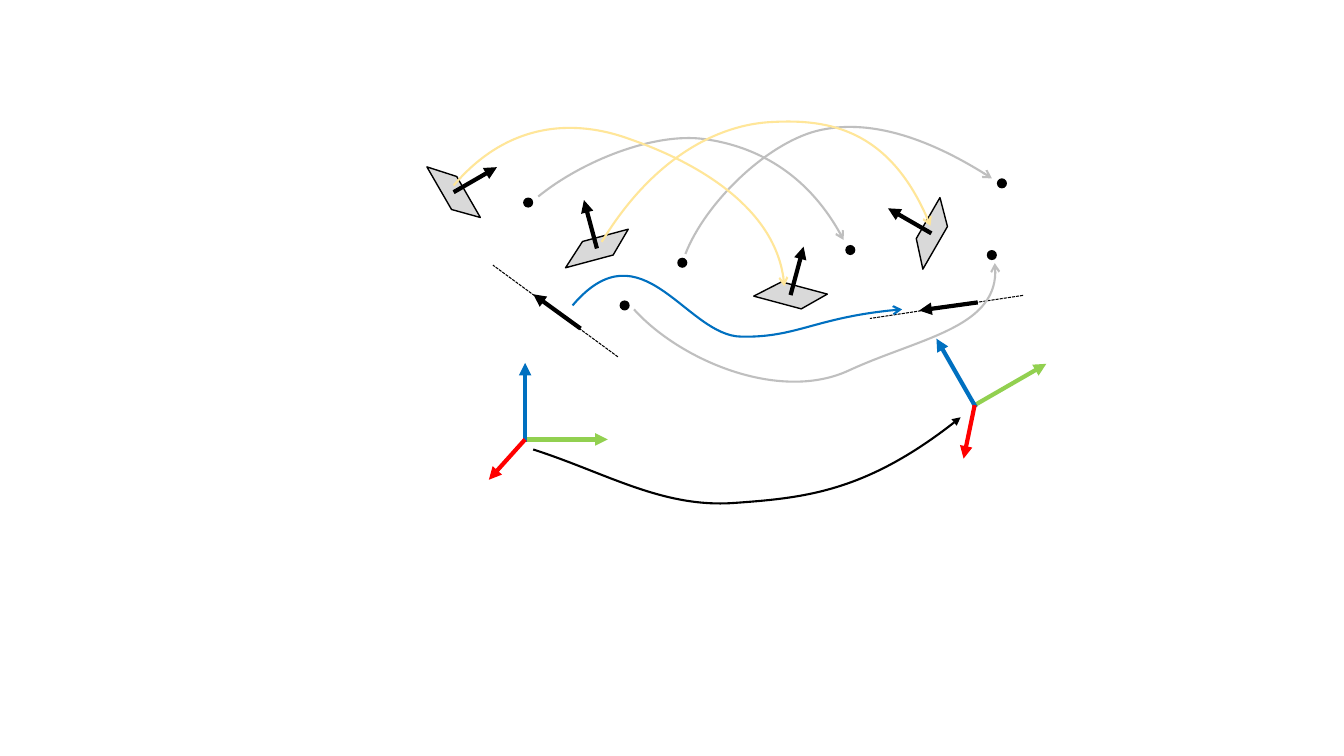
"""Draw points, lines and planes being carried from one coordinate frame to another."""
from lxml import etree
from pptx import Presentation
from pptx.dml.color import RGBColor
from pptx.enum.dml import MSO_LINE
from pptx.enum.shapes import MSO_CONNECTOR, MSO_SHAPE
from pptx.oxml.ns import qn
from pptx.util import Pt

STRAIGHT = MSO_CONNECTOR.STRAIGHT
OVAL = MSO_SHAPE.OVAL
DASHED = MSO_LINE.SQUARE_DOT

COLORS = {"black": "000000", "red": "FF0000", "green": "92D050", "blue": "0070C0",
          "plane": "D9D9D9", "point path": "BFBFBF", "plane path": "FFE699"}

FRAMES = [
    [("green", (373.7, 313.9), (434.2, 313.9)),
     ("blue", (375.1, 315.4), (375.1, 259.2)),
     ("red", (375.1, 313.9), (349.2, 342.7))],
    [("green", (694.8, 290.2), (747.4, 259.9)),
     ("blue", (697, 290.9), (668.9, 241.9)),
     ("red", (696.2, 289.4), (688.3, 327.6))],
]
FRAME_PATH = ("black", "triangle", [
    (380.9, 321.1), (432.7, 337.7), (473, 362.9), (524.2, 359.3),
    (574.6, 355.7), (619.9, 351.4), (686.2, 298.1)])

SCENES = [
    {"points": [(377.3, 144.7), (446.2, 218.2), (487.4, 187.7)],
     "planes": [(324, 137.3, 60), (426.4, 177.5, -15)],
     "direction": ((414.7, 234.7), (380.9, 210.2)),
     "extent": ((441.4, 254.9), (352.1, 189.4))},
    {"points": [(607.4, 178.6), (708.5, 182.2), (715.7, 131)],
     "planes": [(564.7, 210.8, 15), (665.3, 166.7, -60)],
     "direction": ((698.4, 216), (656.6, 221.8)),
     "extent": ((730.8, 211), (621.4, 227.5))},
]
FEATURE_PATHS = [
    ("point path", "arrow", [
        (384.5, 140.4), (415.4, 115.2), (467.3, 94.3), (503.3, 99.4),
        (540, 104.4), (578.9, 125.3), (602.6, 171.4)]),
    ("point path", "arrow", [
        (489.6, 181.4), (504, 144.7), (547.2, 103), (583.2, 93.6),
        (619.9, 84.2), (665.3, 99.4), (708.5, 127.4)]),
    ("point path", "arrow", [
        (452.9, 221), (485.3, 257), (555.8, 287.3), (605.5, 265),
        (655.2, 241.9), (716.4, 234), (710.6, 187.9)]),
    ("plane path", "arrow", [
        (324, 132.5), (373.7, 74.2), (432, 92.9), (450, 99.4),
        (468, 105.8), (555.8, 136.8), (560.2, 204.5)]),
    ("plane path", "arrow", [
        (429.8, 172.8), (466.6, 112.3), (513.4, 88.6), (552.2, 87.1),
        (591.8, 85), (637.2, 92.9), (664.6, 161.3)]),
    ("blue", "arrow", [
        (409, 218.2), (458.6, 159.8), (490.3, 240.5), (529.9, 240.5),
        (568.8, 241.2), (583.2, 226.1), (644.4, 221)]),
]
PLANE_CORNERS = [(-8.6, -7.5), (25.2, -7.5), (10, 7.5), (-25.2, 7.5)]
NORMALS = {60: (31, -17.9), -15: (-9.3, -34.6), 15: (9.3, -34.6), -60: (-31, -17.9)}
DOT = 7.2


def format_line(line, color, width, dash=None, arrow=None):
    """Colour a line and give it an optional dash and arrowhead."""
    line.color.rgb = RGBColor.from_string(COLORS[color])
    formats = {"width": Pt(width), "dash_style": dash}
    for name, value in formats.items():
        setattr(line, name, value)
    if arrow:
        outline = line.color._xFill.getparent()
        etree.SubElement(outline, qn("a:tailEnd"), type=arrow)


def format_fill(shape, color):
    """Fill a shape with one colour and drop its shadow."""
    shape.fill.solid()
    shape.fill.fore_color.rgb = RGBColor.from_string(COLORS[color])
    shape.shadow.inherit = False


def add_line(shapes, start, end, color="black", width=3, dash=None, arrow="triangle"):
    """Add a straight line between two places."""
    ends = [Pt(value) for value in (*start, *end)]
    connector = shapes.add_connector(STRAIGHT, *ends)
    format_line(connector.line, color, width, dash, arrow)
    etree.SubElement(connector._element.spPr, qn("a:effectLst"))


def add_outline(shapes, vertices, close):
    """Add a freeform through the given places."""
    corners = [(Pt(x), Pt(y)) for x, y in vertices]
    builder = shapes.build_freeform(*corners[0])
    builder.add_line_segments(corners[1:], close=close)
    return builder.convert_to_shape()


def add_path(shapes, color, arrow, knots):
    """Add a curved arrow from a start and triples of Bezier points."""
    curve = add_outline(shapes, knots, close=False)
    segments = list(curve._element.iter(qn("a:lnTo")))
    for first in range(0, len(segments), 3):
        bezier = etree.SubElement(segments[first].getparent(), qn("a:cubicBezTo"))
        for segment in segments[first:first + 3]:
            bezier.append(segment[0])
            segment.getparent().remove(segment)
    curve.fill.background()
    curve.shadow.inherit = False
    format_line(curve.line, color, 1.5, arrow=arrow)


def add_plane(shapes, x, y, angle):
    """Add a tilted plane with its normal."""
    plane = add_outline(shapes, [(x + dx, y + dy) for dx, dy in PLANE_CORNERS], close=True)
    plane.rotation = angle
    format_fill(plane, "plane")
    format_line(plane.line, "black", 1)
    dx, dy = NORMALS[angle]
    add_line(shapes, (x, y), (x + dx, y + dy))


def add_scene(shapes, scene):
    """Add the points, planes and line seen from one frame."""
    for x, y in scene["points"]:
        dot = shapes.add_shape(OVAL, Pt(x - DOT / 2), Pt(y - DOT / 2), Pt(DOT), Pt(DOT))
        format_fill(dot, "black")
        dot.line.fill.background()
    for plane in scene["planes"]:
        add_plane(shapes, *plane)
    add_line(shapes, *scene["direction"])
    add_line(shapes, *scene["extent"], width=0.75, dash=DASHED, arrow=None)


def main():
    """Build and save the slide."""
    deck = Presentation()
    deck.slide_width, deck.slide_height = Pt(960), Pt(540)
    shapes = deck.slides.add_slide(deck.slide_layouts[6]).shapes
    for frame in FRAMES:
        axes = shapes.add_group_shape().shapes
        for color, start, end in frame:
            add_line(axes, start, end, color)
    add_path(shapes, *FRAME_PATH)
    for scene in SCENES:
        add_scene(shapes.add_group_shape().shapes, scene)
    for feature_path in FEATURE_PATHS:
        add_path(shapes, *feature_path)
    deck.save("out.pptx")


if __name__ == "__main__":
    main()
